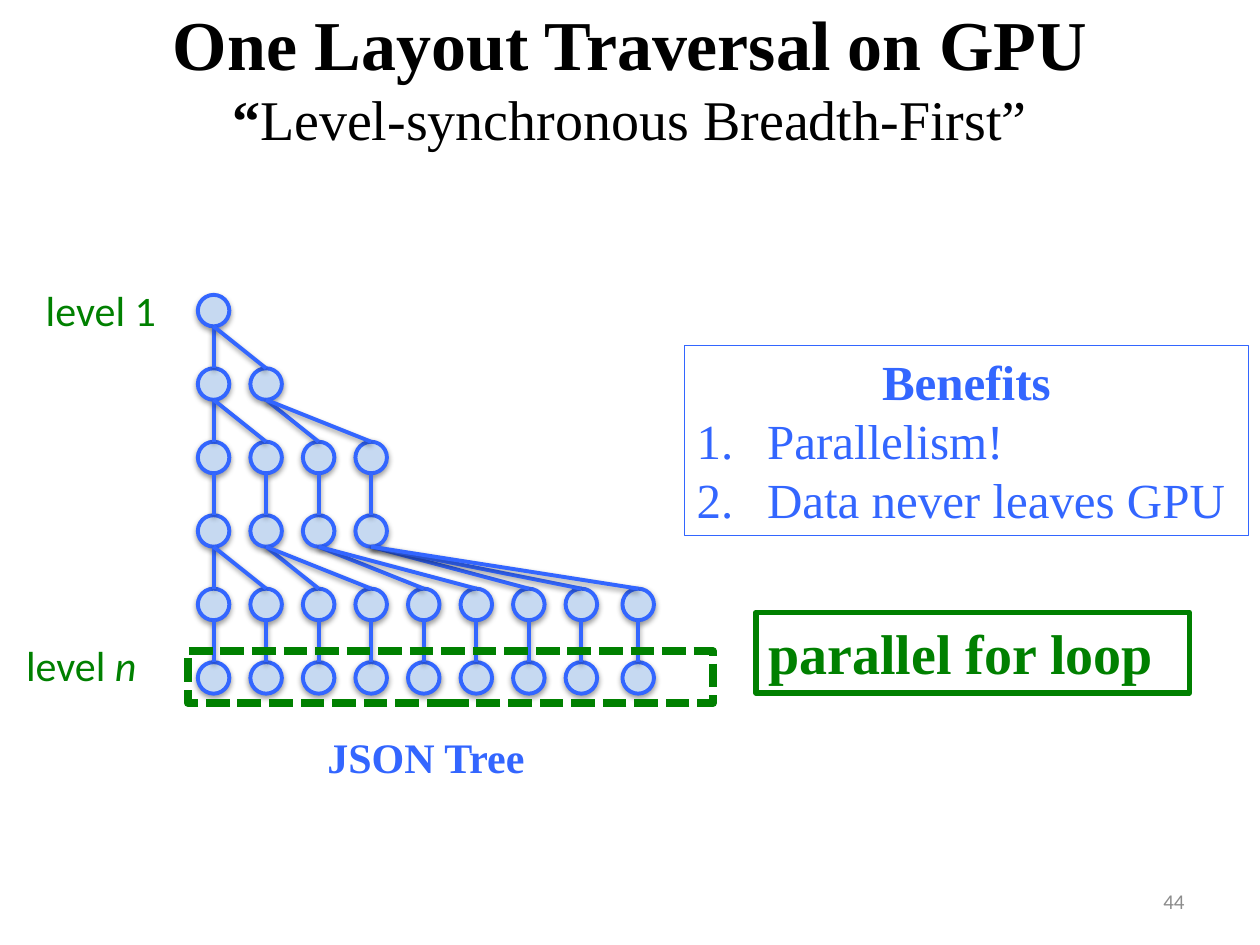
from lxml import etree
from pptx import Presentation
from pptx.dml.color import RGBColor
from pptx.enum import dml, shapes, text
from pptx.oxml import ns
from pptx.util import Inches, Pt

BLUE = RGBColor(0x33, 0x66, 0xFF)
PALE = RGBColor(0xC6, 0xD9, 0xF1)
GREEN = RGBColor(0x00, 0x80, 0x00)
GRAY = RGBColor(0x8C, 0x8C, 0x8C)
BLACK = RGBColor(0x00, 0x00, 0x00)
WHITE = RGBColor(0xFF, 0xFF, 0xFF)
SERIF, SANS = "Times New Roman", "Calibri"
LEFT, MID, RIGHT = text.PP_ALIGN.LEFT, text.PP_ALIGN.CENTER, text.PP_ALIGN.RIGHT


class Deck:
    """Holds the style and the current slide."""

    def __init__(self):
        self.prs = Presentation()
        self.prs.slide_width = Inches(10)
        self.prs.slide_height = Inches(7.5)
        self.slide = self.prs.slides.add_slide(self.prs.slide_layouts[6])

    def shade(self, item):
        """Add a soft shadow that falls straight down."""
        props = item._element.spPr
        for old in props.findall(ns.qn("a:effectLst")):
            props.remove(old)
        effects = etree.SubElement(props, ns.qn("a:effectLst"))
        shadow = etree.SubElement(
            effects, ns.qn("a:outerShdw"), blurRad="40000", dist="20000",
            dir="5400000", rotWithShape="0")
        color = etree.SubElement(shadow, ns.qn("a:srgbClr"), val="000000")
        etree.SubElement(color, ns.qn("a:alpha"), val="38000")

    def shape(self, kind, x, y, w, h, fill, line, width):
        item = self.slide.shapes.add_shape(
            kind, Inches(x), Inches(y), Inches(w), Inches(h))
        item.shadow.inherit = False
        if fill is None:
            item.fill.background()
        else:
            item.fill.solid()
            item.fill.fore_color.rgb = fill
        item.line.color.rgb = line
        item.line.width = Pt(width)
        return item

    def rect(self, *args):
        return self.shape(shapes.MSO_SHAPE.RECTANGLE, *args)

    def node(self, x, y, size):
        item = self.shape(shapes.MSO_SHAPE.OVAL, x, y, size, size, PALE, BLUE, 2.25)
        self.shade(item)

    def edge(self, x1, y1, x2, y2):
        item = self.slide.shapes.add_connector(
            shapes.MSO_CONNECTOR.STRAIGHT,
            Inches(x1), Inches(y1), Inches(x2), Inches(y2))
        item.line.color.rgb = BLUE
        item.line.width = Pt(2.25)
        self.shade(item)

    def box(self, x, y, w, h):
        return self.slide.shapes.add_textbox(
            Inches(x), Inches(y), Inches(w), Inches(h))

    def label(self, item, lines, size, color, font=SERIF, bold=False,
              align=LEFT, anchor=text.MSO_ANCHOR.TOP):
        """Fill an item with one paragraph per line."""
        frame = item.text_frame
        frame.word_wrap = True
        frame.vertical_anchor = anchor
        frame.text = "\n".join(lines)
        for par in frame.paragraphs:
            par.alignment = align
            for run in par.runs:
                self.style(run, size, color, font, bold)
        return frame.paragraphs

    def style(self, run, size, color, font, bold):
        run.font.size = Pt(size)
        run.font.color.rgb = color
        run.font.name = font
        run.font.bold = bold

    def number(self, par):
        """Turn a paragraph into a numbered item."""
        props = par._p.get_or_add_pPr()
        props.set("marL", str(Inches(0.56)))
        props.set("indent", str(-Inches(0.56)))
        etree.SubElement(props, ns.qn("a:buFont"), typeface="+mj-lt")
        etree.SubElement(props, ns.qn("a:buAutoNum"), type="arabicPeriod")


def tree(deck):
    # For each level, the parent of every node
    levels = [[0], [0, 0], [0, 0, 1, 1], [0, 1, 2, 3],
              [0, 0, 1, 1, 2, 2, 3, 3, 3], range(9)]
    size, half, step = 0.25, 0.125, 0.583
    cols = [1.57 + 0.417 * col for col in range(8)] + [4.94]
    for row, level in enumerate(levels):
        y = 2.34 + step * row
        for col in range(len(level)):
            deck.node(cols[col], y, size)
        if row:
            for col, parent in enumerate(level):
                deck.edge(cols[parent] + half, y - step + size,
                          cols[col] + half, y)


def main():
    deck = Deck()

    # Benefits
    card = deck.rect(5.43, 2.74, 4.48, 1.51, WHITE, BLUE, 0.75)
    head, *items = deck.label(
        card, ["Benefits", "Parallelism!", "Data never leaves GPU"], 28, BLUE)
    head.alignment = MID
    head.runs[0].font.bold = True
    for par in items:
        deck.number(par)

    # Title
    title = deck.box(0, -0.02, 10, 1.25)
    par = deck.label(title, ["One Layout Traversal on GPU"], 40, BLACK,
                     bold=True, align=MID, anchor=text.MSO_ANCHOR.MIDDLE)[0]
    par.add_line_break()
    for part, bold in (("“", True), ("Level-synchronous Breadth-First”", False)):
        run = par.add_run()
        run.text = part
        deck.style(run, 32, BLACK, SERIF, bold)

    # Tree and its labels
    tree(deck)
    deck.label(deck.box(0.14, 2.21, 1.32, 0.5), ["level 1"], 24, GREEN, SANS,
               align=MID)
    par = deck.label(deck.box(-0.53, 5.03, 2.35, 0.5), ["level "], 24, GREEN,
                     SANS, align=MID)[0]
    run = par.add_run()
    run.text = "n"
    deck.style(run, 24, GREEN, SANS, False)
    run.font.italic = True
    deck.label(deck.box(2.5, 5.76, 3.63, 0.5), ["JSON Tree"], 24, BLUE, bold=True)

    # Slide number
    deck.label(deck.box(7.17, 6.95, 2.33, 0.4), ["44"], 12, GRAY, SANS,
               align=RIGHT, anchor=text.MSO_ANCHOR.MIDDLE)

    # Parallel loop over the last level
    frame = deck.rect(1.49, 5.17, 4.17, 0.41, None, GREEN, 4.5)
    frame.line.dash_style = dml.MSO_LINE.SQUARE_DOT
    loop = deck.rect(6, 4.86, 3.44, 0.64, WHITE, GREEN, 3)
    deck.label(loop, ["parallel for loop"], 32, GREEN, bold=True)

    deck.prs.save("out.pptx")


if __name__ == "__main__":
    main()
